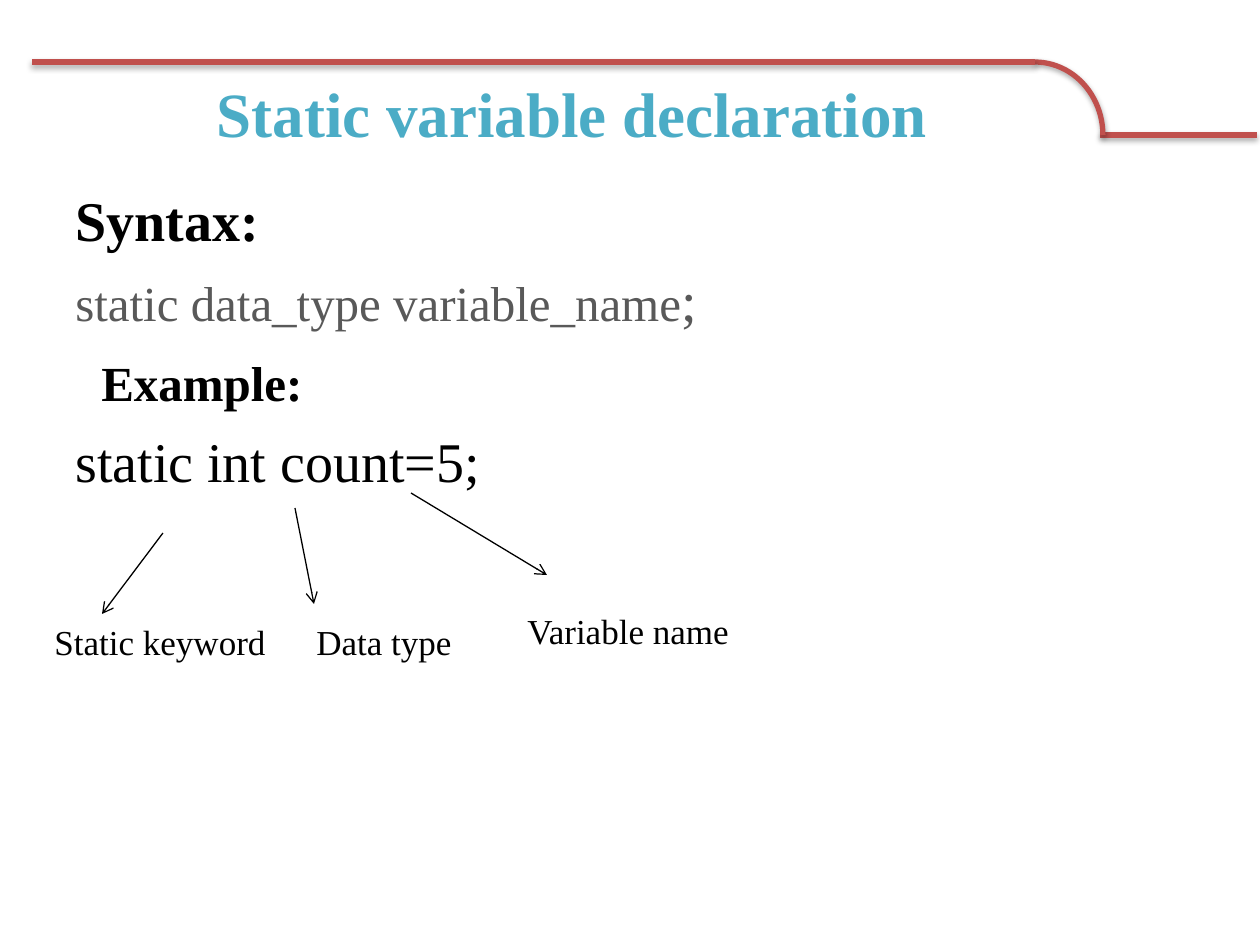
from lxml.etree import SubElement
from pptx import Presentation
from pptx.dml.color import RGBColor
from pptx.enum.shapes import MSO_CONNECTOR as Connector, MSO_SHAPE as Shape
from pptx.enum.text import MSO_ANCHOR as Anchor, MSO_AUTO_SIZE as AutoSize, PP_ALIGN as Align
from pptx.oxml import parse_xml
from pptx.oxml.ns import nsdecls, qn
from pptx.util import Emu, Pt

COLORS = {"rule": "C0504D", "title": "4BACC6", "text": "000000", "syntax": "595959"}
FONT = "Times New Roman"
SHADOW = (
    f'<a:effectLst {nsdecls("a")}><a:outerShdw blurRad="40000" dist="23000" dir="5400000" '
    'rotWithShape="0"><a:srgbClr val="000000"><a:alpha val="35000"/></a:srgbClr>'
    "</a:outerShdw></a:effectLst>"
)
NO_SHADOW = f'<a:effectLst {nsdecls("a")}/>'


def px(length):
    """Turn pixels at 126 to the inch into EMU."""
    return Emu(round(length * 914400 / 126))


def style_line(shape, color, width, effect):
    """Give a shape its outline and effect list."""
    shape.line.color.rgb = RGBColor.from_string(COLORS[color])
    shape.line.width = Pt(width)
    shape._element.spPr.append(parse_xml(effect))


def add_line(page, start, end, color, width, effect):
    """Draw a straight line between two points."""
    line = page.shapes.add_connector(Connector.STRAIGHT, *map(px, start + end))
    style_line(line, color, width, effect)
    return line


def add_text_box(page, box):
    """Add a wrapping text box and return its frame."""
    frame = page.shapes.add_textbox(*map(px, box)).text_frame
    frame.word_wrap = True
    return frame


def set_font(font, size, color="text", bold=False):
    """Set the face, size, colour and weight of a font."""
    font.name, font.size, font.bold = FONT, Pt(size), bold
    font.color.rgb = RGBColor.from_string(COLORS[color])


def add_header_rule(page, box):
    """Draw the stepped rule: upper line, quarter arc and lower line."""
    left, top, width, height = box
    bend, step = left + 1003, left + 1068
    add_line(page, (step, top + height), (left + width, top + height), "rule", 3, SHADOW)
    arc = page.shapes.add_shape(Shape.ARC, px(bend - 68), px(top), px(136), px(2 * height))
    arc.fill.background()
    style_line(arc, "rule", 3, SHADOW)
    add_line(page, (bend, top), (left, top), "rule", 3, SHADOW)


def add_title(page, box, text):
    """Write the centred slide title."""
    frame = add_text_box(page, box)
    frame.vertical_anchor = Anchor.MIDDLE
    para = frame.paragraphs[0]
    para.text, para.alignment = text, Align.CENTER
    set_font(para.font, 36, "title", True)


def add_body(page, box):
    """Write the syntax and example lines."""
    frame = add_text_box(page, box)
    lines = [
        ("Syntax:", 32, "text", True, 7.5, 0),
        ("static data_type variable_name", 28, "syntax", False, 7.5, 0),
        ("Example:", 28, "text", True, 11.5, 26),
        ("static int count=5;", 32, "text", False, 8.5, 0),
    ]
    for index, (text, size, color, bold, space, indent) in enumerate(lines):
        para = frame.add_paragraph() if index else frame.paragraphs[0]
        para.text, para.space_before = text, Pt(space)
        para._p.get_or_add_pPr().set("marL", str(px(indent)))
        set_font(para.font, size, color, bold)
    span = frame.paragraphs[1].add_run()
    span.text, span.font.size = ";", Pt(32)


def add_callouts(page, box):
    """Label the parts of the example, each with an arrow."""
    left, top = box[:2]
    callouts = [
        ("Static keyword", (0, 121), (121, 40), (60, 121)),
        ("Data type", (262, 121), (253, 15), (272, 111)),
        ("Variable name", (473, 110), (369, 0), (505, 82)),
    ]
    for text, label, tail, tip in callouts:
        frame = add_text_box(page, (left + label[0], top + label[1], 243, 55))
        frame.auto_size = AutoSize.SHAPE_TO_FIT_TEXT
        para = frame.paragraphs[0]
        para.text = text
        set_font(para.font, 20)
        start, end = ((left + x, top + y) for x, y in (tail, tip))
        arrow = add_line(page, start, end, "text", 0.75, NO_SHADOW)
        SubElement(arrow.line._get_or_add_ln(), qn("a:tailEnd"), type="arrow")


def main():
    """Build the slide and save it."""
    deck = Presentation()
    deck.slide_width, deck.slide_height = px(1260), px(945)
    page = deck.slides.add_slide(deck.slide_layouts[6])
    add_header_rule(page, (32, 62, 1225, 73))
    add_title(page, (63, 67, 1018, 91), "Static variable declaration")
    add_body(page, (63, 179, 1134, 693))
    add_callouts(page, (42, 493, 716, 176))
    deck.save("out.pptx")


if __name__ == "__main__":
    main()
